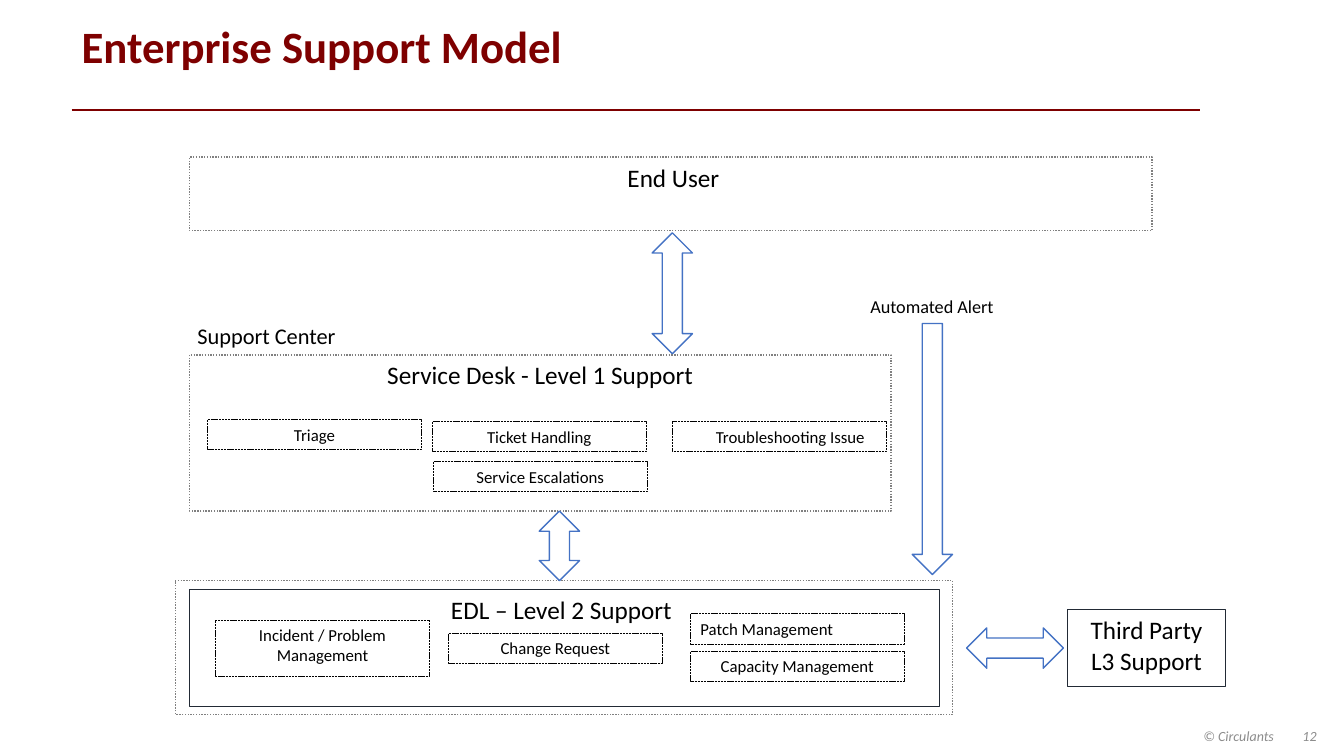
from dataclasses import dataclass
from typing import Optional

from lxml.etree import SubElement
from pptx import Presentation
from pptx.dml.color import RGBColor
from pptx.enum.dml import MSO_LINE as Dash
from pptx.enum.shapes import MSO_CONNECTOR as Connector, MSO_SHAPE as Preset
from pptx.enum.text import MSO_ANCHOR as Anchor, MSO_AUTO_SIZE as AutoSize, PP_ALIGN as Align
from pptx.oxml.ns import qn
from pptx.util import Inches, Pt

# The page is a grid of 160 columns by 90 rows
COLUMNS, ROWS = 160, 90
FONT = "Calibri"
COLORS = {
    "maroon": "7E0000", "black": "000000", "white": "FFFFFF", "navy": "222A35",
    "gray": "808080", "blue": "4472C4", "footer": "8C8C8C",
}
TASK_WIDTH, TASK_HEIGHT = 25.44, 3.6
ARROW = 4.8  # thickness of every block arrow


@dataclass
class Stroke:
    color: str
    width: float = 1
    dash: Optional[Dash] = None


SOLID = Stroke("navy")
DOTTED = Stroke("gray", 1, Dash.ROUND_DOT)
DASHED = Stroke("black", 0.5, Dash.SQUARE_DOT)
BLUE = Stroke("blue")


@dataclass
class Block:
    column: float
    row: float
    width: float
    height: float
    text: str = ""
    size: float = 18
    stroke: Optional[Stroke] = None
    fill: Optional[str] = "white"
    preset: Preset = Preset.RECTANGLE
    anchor: Anchor = Anchor.TOP
    align: Align = Align.CENTER
    shift: float = 0  # inches added to the left inset, or to the right one if negative


@dataclass
class Caption:
    column: float
    row: float
    width: float
    height: float
    text: str
    size: float
    color: str
    italic: bool = False
    anchor: Anchor = Anchor.TOP
    align: Align = Align.LEFT


def task(column: float, row: float, text: str, height: float = TASK_HEIGHT,
         align: Align = Align.CENTER, shift: float = 0) -> Block:
    return Block(column, row, TASK_WIDTH, height, text, 12, DASHED, align=align, shift=shift)


def arrow(preset: Preset, column: float, row: float,
          width: float = ARROW, height: float = ARROW) -> Block:
    return Block(column, row, width, height, stroke=BLUE, preset=preset)


BLOCKS = [
    # Third party, level 2 and end user
    Block(127.08, 72.6, 18.84, 9.12, "Third Party L3 Support", stroke=SOLID, fill=None),
    Block(22.56, 70.2, 89.28, 13.92, "EDL – Level 2 Support", stroke=SOLID, shift=-0.06),
    Block(22.56, 18.72, 114.6, 8.76, "End User", stroke=DOTTED, shift=0.05),
    # Automated alert
    Block(101.52, 34.32, 18.84, 4.2, "Automated Alert", 13,
          preset=Preset.ROUNDED_RECTANGLE, anchor=Anchor.MIDDLE),
    arrow(Preset.DOWN_ARROW, 108.6, 38.52, height=29.88),
    # Service desk
    Block(22.56, 42.24, 83.52, 18.6, "Service Desk - Level 1 Support", stroke=DOTTED),
    task(51.48, 50.16, "Ticket Handling"),
    task(51.6, 54.96, "Service Escalations"),
    task(24.72, 49.92, "Triage"),
    task(80.04, 50.16, "Troubleshooting Issue", shift=0.22),
    # Level 2 tasks and their outer frame
    task(25.68, 73.8, "Incident / Problem Management", height=6.72),
    task(82.2, 73.08, "Patch Management", align=Align.LEFT),
    task(82.2, 77.52, "Capacity Management"),
    task(53.4, 75.36, "Change Request"),
    Block(20.88, 69.12, 92.52, 15.96, stroke=DOTTED, fill=None),
    # Two-way arrows between the levels
    arrow(Preset.UP_DOWN_ARROW, 77.64, 27.72, height=14.4),
    arrow(Preset.UP_DOWN_ARROW, 64.2, 60.84, height=8.28),
    arrow(Preset.LEFT_RIGHT_ARROW, 115.08, 74.76, width=11.52),
]

CAPTIONS = [
    Caption(22.32, 37.8, 48.12, 4.44, "Support Center", 16, "black"),
    Caption(142.08, 86.52, 12.48, 2.64, "© Circulants", 10, "footer", True, Anchor.BOTTOM),
    Caption(151.32, 86.64, 6.6, 2.04, "12", 10, "footer", True, Anchor.MIDDLE, Align.RIGHT),
]

deck = Presentation()
deck.slide_width, deck.slide_height = Inches(13.333), Inches(7.5)


def across(columns: float) -> int:
    return round(deck.slide_width * columns / COLUMNS)


def down(rows: float) -> int:
    return round(deck.slide_height * rows / ROWS)


def area(column: float, row: float, width: float, height: float) -> tuple[int, int, int, int]:
    return across(column), down(row), across(width), down(height)


def color(name: str) -> RGBColor:
    return RGBColor.from_string(COLORS[name])


def write(shape, text: str, size: float, ink: str, anchor: Anchor, align: Align,
          bold: bool = False, italic: bool = False) -> None:
    frame = shape.text_frame
    frame.text = text
    frame.word_wrap = True
    frame.auto_size = AutoSize.NONE
    frame.vertical_anchor = anchor
    para = frame.paragraphs[0]
    para.alignment = align
    for span in para.runs:
        span.font.name, span.font.size = FONT, Pt(size)
        span.font.bold, span.font.italic = bold, italic
        span.font.color.rgb = color(ink)


def draw_block(page, block: Block) -> None:
    shape = page.shapes.add_shape(
        block.preset, *area(block.column, block.row, block.width, block.height))
    shape.shadow.inherit = False
    if block.fill:
        shape.fill.solid()
        shape.fill.fore_color.rgb = color(block.fill)
    else:
        shape.fill.background()
    if block.stroke:
        shape.line.color.rgb = color(block.stroke.color)
        shape.line.width = Pt(block.stroke.width)
        if block.stroke.dash:
            shape.line.dash_style = block.stroke.dash
    else:
        shape.line.fill.background()
    if block.text:
        write(shape, block.text, block.size, "black", block.anchor, block.align)
        shape.text_frame.margin_left = Inches(0.1 + max(block.shift, 0))
        shape.text_frame.margin_right = Inches(0.1 + max(-block.shift, 0))


def draw_caption(page, caption: Caption) -> None:
    box = page.shapes.add_textbox(
        *area(caption.column, caption.row, caption.width, caption.height))
    write(box, caption.text, caption.size, caption.color, caption.anchor,
          caption.align, italic=caption.italic)


def draw_header(page) -> None:
    title = page.shapes.title
    title.left, title.top, title.width, title.height = area(8.52, 2.88, 128, 6)
    write(title, "Enterprise Support Model", 32, "maroon", Anchor.MIDDLE, Align.LEFT, bold=True)
    title.text_frame.paragraphs[0].line_spacing = 0.9
    rule = page.shapes.add_connector(
        Connector.STRAIGHT, across(8.52), down(13.08), across(142.92), down(13.08))
    rule.line.color.rgb = color("maroon")
    rule.line.width = Pt(1)
    SubElement(rule._element.spPr, qn("a:effectLst"))


def main() -> None:
    page = deck.slides.add_slide(deck.slide_layouts.get_by_name("Title Only"))
    draw_header(page)
    for block in BLOCKS:
        draw_block(page, block)
    for caption in CAPTIONS:
        draw_caption(page, caption)
    deck.save("out.pptx")


if __name__ == "__main__":
    main()
